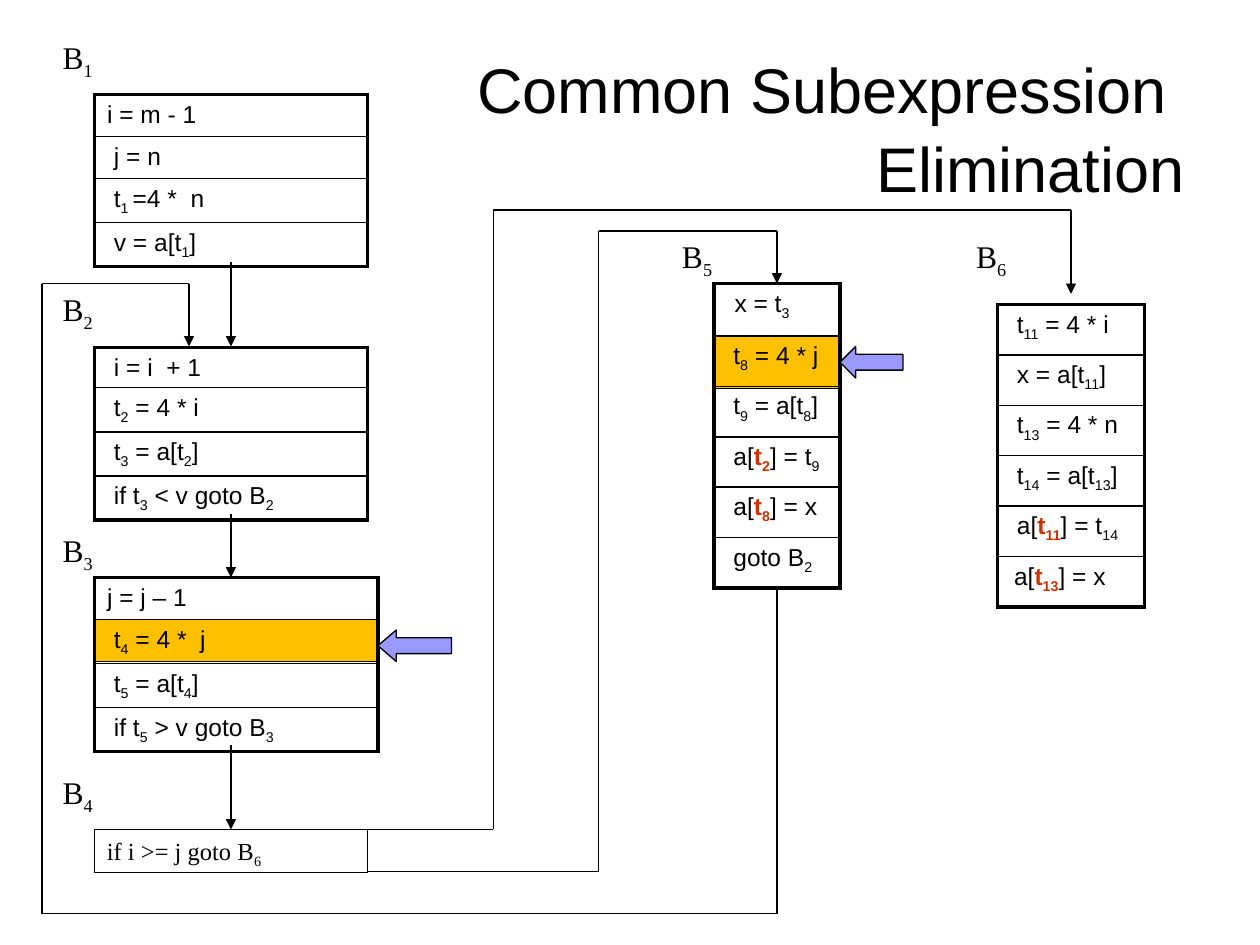
from itertools import pairwise

from lxml.etree import SubElement
from pptx import Presentation
from pptx.dml.color import RGBColor
from pptx.enum.shapes import MSO_CONNECTOR, MSO_SHAPE as SHAPE
from pptx.enum.text import MSO_ANCHOR as ANCHOR, MSO_AUTO_SIZE as AUTO_SIZE, PP_ALIGN as ALIGN
from pptx.oxml.ns import qn
from pptx.util import Emu, Pt

SCALE = 914400 // 120
SANS, SERIF = "Arial", "Times New Roman"
BLACK, RED, ORANGE, LILAC = "000000", "CC3300", "FFC000", "9999FF"


def px(length):
    return Emu(length * SCALE)


def rgb(value):
    return RGBColor.from_string(value)


class FlowSlide:
    """Draws basic blocks, labels and control flow on one slide; _ marks subscripts, ~ marks red code."""

    def __init__(self, slide):
        self.slide = slide
        self.shapes = slide.shapes

    def style(self, font, name, size, color=BLACK, bold=False):
        font.name, font.size, font.bold = name, Pt(size), bold
        font.color.rgb = rgb(color)

    def code(self, paragraph, text, name, size):
        for part, passage in enumerate(text.split("~")):
            for level, piece in enumerate(passage.split("_")):
                if piece:
                    run = paragraph.add_run()
                    run.text = piece
                    self.style(run.font, name, size, RED if part % 2 else BLACK, part % 2 == 1)
                    if level % 2:
                        run._r.get_or_add_rPr().set("baseline", "-25000")

    def title(self, text, *box):
        heading = self.shapes.title
        heading.left, heading.top, heading.width, heading.height = map(px, box)
        frame = heading.text_frame
        frame.text = text
        frame.word_wrap = True
        frame.vertical_anchor = ANCHOR.MIDDLE
        paragraph = frame.paragraphs[0]
        paragraph.alignment = ALIGN.RIGHT
        paragraph.line_spacing = 1.05
        for run in paragraph.runs:
            self.style(run.font, SANS, 36)

    def label(self, text, left, top):
        frame = self.shapes.add_textbox(px(left), px(top), px(100), px(48)).text_frame
        frame.word_wrap = True
        frame.auto_size = AUTO_SIZE.SHAPE_TO_FIT_TEXT
        frame.paragraphs[0].alignment = ALIGN.RIGHT
        self.code(frame.paragraphs[0], text, SERIF, 18)

    def shape(self, kind, box, fill=None, text=""):
        shape = self.shapes.add_shape(kind, *map(px, box))
        shape.shadow.inherit = False
        if fill:
            shape.fill.solid()
            shape.fill.fore_color.rgb = rgb(fill)
        else:
            shape.fill.background()
        shape.line.color.rgb = rgb(BLACK)
        shape.line.width = Pt(0.75)
        if text:
            frame = shape.text_frame
            frame.vertical_anchor = ANCHOR.TOP
            frame.word_wrap = True
            frame.paragraphs[0].alignment = ALIGN.LEFT
            self.code(frame.paragraphs[0], text, SERIF, 14)
        return shape

    def pointer(self, box, head):
        arrow = self.shape(SHAPE.LEFT_ARROW, box, LILAC)
        arrow.adjustments[0], arrow.adjustments[1] = 0.5, head

    def border(self, cell, side, width):
        line = SubElement(cell._tc.get_or_add_tcPr(), qn(f"a:ln{side}"), w=str(Pt(width)))
        SubElement(SubElement(line, qn("a:solidFill")), qn("a:srgbClr"), val=BLACK)

    def block(self, left, top, width, heights, statements):
        frame = self.shapes.add_table(
            len(statements), 1, px(left), px(top), px(width), px(sum(heights)))
        table = frame.table
        table.first_row = table.horz_banding = False
        last = len(statements) - 1
        for index, (height, statement) in enumerate(zip(heights, statements)):
            table.rows[index].height = px(height)
            cell = table.cell(index, 0)
            self.border(cell, "L", 2.25)
            self.border(cell, "R", 2.25)
            self.border(cell, "T", 2.25 if index == 0 else 1)
            self.border(cell, "B", 2.25 if index == last else 1)
            cell.fill.background()
            self.code(cell.text_frame.paragraphs[0], statement, SANS, 14)

    def route(self, *points, target=None):
        for start, end in pairwise(points):
            line = self.shapes.add_connector(
                MSO_CONNECTOR.STRAIGHT, *map(px, start), *map(px, end))
            line.line.color.rgb = rgb(BLACK)
            line.line.width = Pt(0.75)
            properties = line._element.spPr
            if end == points[-1]:
                SubElement(properties.find(qn("a:ln")), qn("a:tailEnd"), type="triangle")
                if target is not None:
                    line.end_connect(target, 0)
            SubElement(properties, qn("a:effectLst"))


def main():
    deck = Presentation()
    deck.slide_width, deck.slide_height = px(1200), px(900)
    flow = FlowSlide(deck.slides.add_slide(deck.slide_layouts[5]))

    flow.title("Common Subexpression \vElimination", 60, 30, 1080, 180)
    for repeated in ((680, 320, 120, 50), (90, 590, 270, 40)):
        flow.shape(SHAPE.RECTANGLE, repeated, ORANGE)

    flow.block(90, 90, 260, [40] * 4, ["i = m - 1", " j = n", " t_1 _=4 *  n", " v = a[t_1_]"])
    flow.block(90, 331, 260, [35] * 4, [
        " i = i  + 1", " t_2_ = 4 * i", " t_3_ = a[t_2_]", " if t_3_ < v goto B_2_"])
    flow.block(90, 550, 270, [40] * 4, [
        "j = j – 1", " t_4_ = 4 *  j", " t_5_ = a[t_4_]", " if t_5_ > v goto B_3_"])
    flow.block(680, 270, 120, [50] + [48] * 5, [
        "_  _x = t_3_", " t_8_ = 4 * j", " t_9_ = a[t_8_]",
        " a[~t_2_~] = t_9_", " a[~t_8_~] = x", " goto B_2_"])
    flow.block(950, 290, 140, [48] * 6, [
        " t_11_ = 4 * i", " x = a[t_11_]", " t_13_ = 4 * n", " t_14_ = a[t_13_]",
        " a[~t_11_~] = t_14_", "_ _a[~t_13_~] = x"])
    exit_test = flow.shape(SHAPE.RECTANGLE, (90, 790, 260, 41), text="if i >= j goto B_6_")

    flow.route((220, 250), (220, 330))
    flow.route((220, 490), (220, 550))
    flow.route((220, 710), (220, 790), target=exit_test)
    flow.route((350, 790), (470, 790), (470, 200), (1020, 200), (1020, 280))
    flow.route((350, 830), (570, 830), (570, 220), (740, 220), (740, 270))
    flow.route((740, 560), (740, 870), (40, 870), (40, 270), (180, 270), (180, 330))

    corners = [(0, 30), (0, 270), (0, 500), (0, 730), (590, 220), (870, 220)]
    for number, corner in enumerate(corners, 1):
        flow.label(f"B_{number}_", *corner)

    flow.pointer((360, 600, 70, 30), 0.58)
    flow.pointer((800, 330, 60, 30), 0.5)
    deck.save("out.pptx")


if __name__ == "__main__":
    main()
